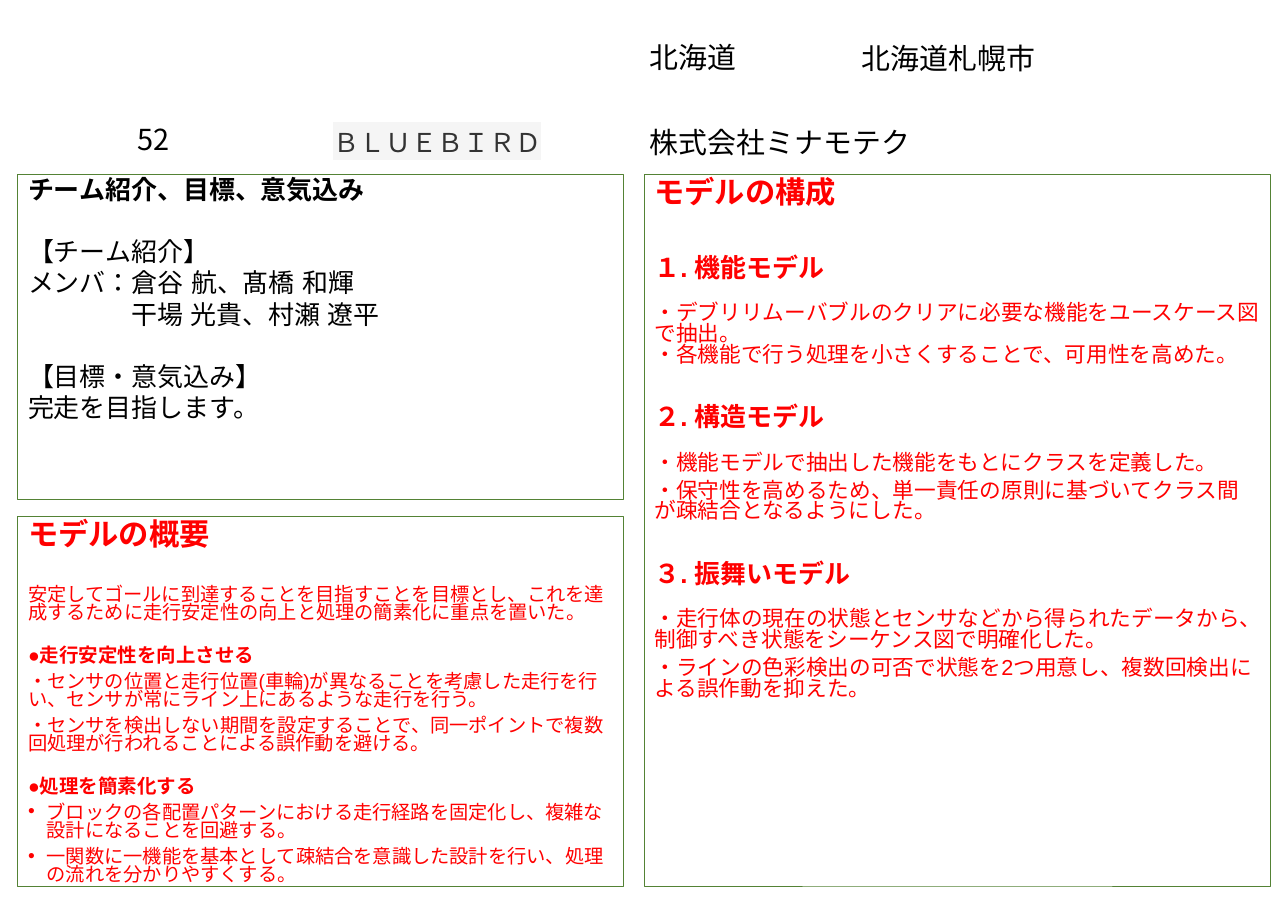
from dataclasses import dataclass

from lxml import etree
from pptx import Presentation
from pptx.dml.color import RGBColor
from pptx.enum.lang import MSO_LANGUAGE_ID
from pptx.enum.shapes import MSO_SHAPE
from pptx.enum.text import MSO_ANCHOR, MSO_AUTO_SIZE, PP_ALIGN
from pptx.oxml.ns import qn
from pptx.util import Inches, Pt

RECTANGLE = MSO_SHAPE.RECTANGLE
TOP, MIDDLE = MSO_ANCHOR.TOP, MSO_ANCHOR.MIDDLE
NO_AUTOSIZE = MSO_AUTO_SIZE.NONE
LEFT = PP_ALIGN.LEFT
JAPANESE = MSO_LANGUAGE_ID.JAPANESE


@dataclass(frozen=True)
class Theme:
    black: str = "000000"
    red: str = "FF0000"
    team: str = "333333"
    highlight: str = "F5F5F5"
    border: str = "548235"
    label_font: str = "Noto Sans CJK JP"
    panel_font: str = "Arial"
    label: float = 26.7
    heading: float = 28
    section: float = 24
    body: float = 20
    small_section: float = 18
    small: float = 17.8


THEME = Theme()


def write(frame, text, *, size, font, color=THEME.black, bold=False, before=0,
          spacing=None, indent=0, bullet=None, highlight=None, first=False):
    """Add one paragraph; a newline in the text becomes a line break."""
    paragraph = frame.paragraphs[0] if first else frame.add_paragraph()
    paragraph.alignment = LEFT
    paragraph.space_before = Pt(before)
    if spacing:
        paragraph.line_spacing = spacing
    properties = paragraph._p.get_or_add_pPr()
    if indent:
        properties.set("marL", str(Inches(indent)))
    if bullet:
        properties.set("indent", str(-Inches(indent)))
        etree.SubElement(properties, qn("a:buFont"), typeface=font)
        etree.SubElement(properties, qn("a:buChar"), char=bullet)
    for number, line in enumerate(text.split("\n")):
        if number:
            paragraph.add_line_break()
        run = paragraph.add_run()
        run.text = line
        run.font.size = Pt(size)
        run.font.bold = bold
        run.font.language_id = JAPANESE
        run.font.color.rgb = RGBColor.from_string(color)
        style = run._r.get_or_add_rPr()
        if highlight:
            mark = etree.SubElement(style, qn("a:highlight"))
            etree.SubElement(mark, qn("a:srgbClr"), val=highlight)
        run.font.name = font
        etree.SubElement(style, qn("a:ea"), typeface=font)


class Sheet:
    def __init__(self, theme, slide):
        self.theme = theme
        self.slide = slide

    def _frame(self, shape, anchor, inset, wrap):
        frame = shape.text_frame
        frame.auto_size = NO_AUTOSIZE
        frame.word_wrap = wrap
        frame.vertical_anchor = anchor
        frame.margin_left = frame.margin_right = Inches(inset[0])
        frame.margin_top = frame.margin_bottom = Inches(inset[1])
        return frame

    def label(self, text, left, top, width):
        box = self.slide.shapes.add_textbox(
            Inches(left), Inches(top), Inches(width), Inches(0.65))
        frame = self._frame(box, MIDDLE, (0.16, 0.08), False)
        write(frame, text, size=self.theme.label,
              font=self.theme.label_font, first=True)

    def team_name(self, text, left, top, width, height):
        title = self.slide.shapes.title
        title.left, title.top = Inches(left), Inches(top)
        title.width, title.height = Inches(width), Inches(height)
        frame = self._frame(title, MIDDLE, (0.16, 0.08), True)
        write(frame, text, size=self.theme.section, color=self.theme.team,
              font=self.theme.label_font, highlight=self.theme.highlight,
              first=True)

    def panel(self, left, top, width, height, paragraphs):
        """Draw a bordered box from (text, format) pairs."""
        box = self.slide.shapes.add_shape(
            RECTANGLE, Inches(left), Inches(top), Inches(width), Inches(height))
        box.shadow.inherit = False
        box.fill.background()
        box.line.color.rgb = RGBColor.from_string(self.theme.border)
        box.line.width = Pt(0.75)
        frame = self._frame(box, TOP, (0.13, 0.07), True)
        for number, (text, look) in enumerate(paragraphs):
            write(frame, text, font=self.theme.panel_font,
                  first=number == 0, **look)


def main():
    presentation = Presentation()
    presentation.slide_width = Inches(16.53)
    presentation.slide_height = Inches(11.69)
    slide = presentation.slides.add_slide(presentation.slide_layouts[5])
    sheet = Sheet(THEME, slide)

    sheet.team_name("ＢＬＵＥＢＩＲＤ", 4.12, 1.55, 3.2, 0.54)
    sheet.label("52", 1.6, 1.46, 0.88)
    sheet.label("株式会社ミナモテク", 8.18, 1.5, 5.43)
    sheet.label("北海道", 8.18, 0.41, 2.1)
    sheet.label("北海道札幌市", 10.9, 0.42, 2.81)

    red = dict(color=THEME.red, spacing=0.8)
    heading = dict(red, size=THEME.heading, bold=True)
    section = dict(red, size=THEME.section, bold=True, before=37.5)
    lead = dict(red, size=THEME.body, before=20)
    item = dict(lead, before=6.7)
    sheet.panel(8.27, 2.24, 8.03, 9.13, [
        ("モデルの構成", heading),
        ("１. 機能モデル", dict(section, before=44.5)),
        ("・デブリリムーバブルのクリアに必要な機能をユースケース図で抽出。", lead),
        ("・各機能で行う処理を小さくすることで、可用性を高めた。", dict(item, before=0)),
        ("２. 構造モデル", section),
        ("・機能モデルで抽出した機能をもとにクラスを定義した。", lead),
        ("・保守性を高めるため、単一責任の原則に基づいてクラス間\nが疎結合となるようにした。", item),
        ("３. 振舞いモデル", section),
        ("・走行体の現在の状態とセンサなどから得られたデータから、"
         "制御すべき状態をシーケンス図で明確化した。", lead),
        ("・ラインの色彩検出の可否で状態を2つ用意し、複数回検出による誤作動を抑えた。", item),
    ])

    intro = dict(size=THEME.section)
    intro_block = dict(intro, before=28.5)
    sheet.panel(0.23, 2.24, 7.77, 4.17, [
        ("チーム紹介、目標、意気込み", dict(intro, bold=True, spacing=0.8)),
        ("【チーム紹介】", intro_block),
        ("メンバ：倉谷 航、髙橋 和輝", intro),
        ("干場 光貴、村瀬 遼平", dict(intro, indent=1.33)),
        ("【目標・意気込み】\n完走を目指します。", intro_block),
    ])

    point = dict(red, size=THEME.small, before=6.7)
    bulleted = dict(point, indent=0.24, bullet="•")
    theme_line = dict(red, size=THEME.small_section, bold=True, before=22)
    sheet.panel(0.23, 6.63, 7.77, 4.75, [
        ("モデルの概要", heading),
        ("安定してゴールに到達することを目指すことを目標とし、"
         "これを達成するために走行安定性の向上と処理の簡素化に重点を置いた。",
         dict(point, before=32.5)),
        ("●走行安定性を向上させる", theme_line),
        ("・センサの位置と走行位置(車輪)が異なることを考慮した走行を行い、"
         "センサが常にライン上にあるような走行を行う。", point),
        ("・センサを検出しない期間を設定することで、"
         "同一ポイントで複数回処理が行われることによる誤作動を避ける。", point),
        ("●処理を簡素化する", theme_line),
        ("ブロックの各配置パターンにおける走行経路を固定化し、"
         "複雑な設計になることを回避する。", bulleted),
        ("一関数に一機能を基本として疎結合を意識した設計を行い、"
         "処理の流れを分かりやすくする。", bulleted),
    ])

    presentation.save("out.pptx")


if __name__ == "__main__":
    main()
